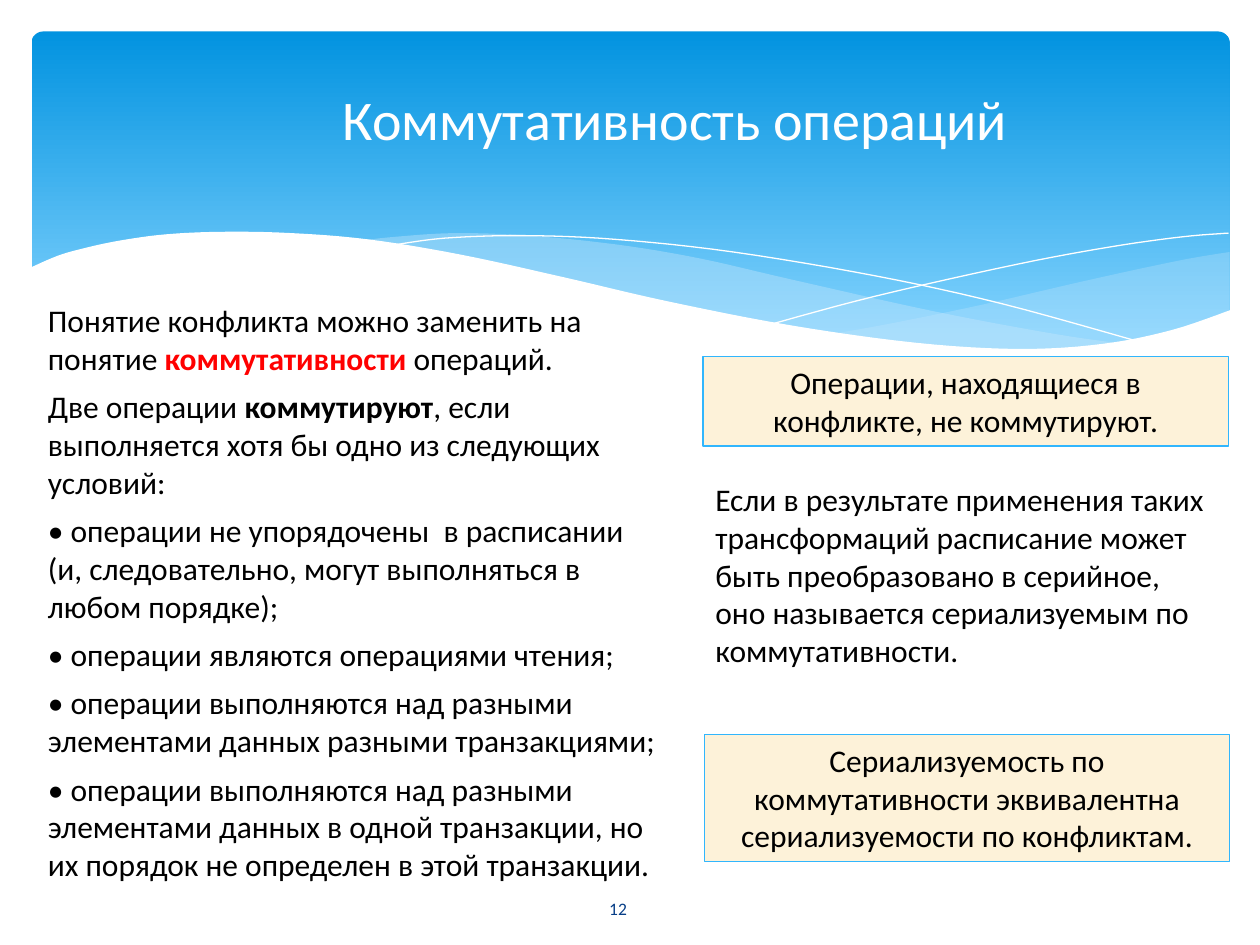
from pptx import Presentation
from pptx.dml.color import RGBColor
from pptx.enum.shapes import MSO_SHAPE
from pptx.enum.text import MSO_ANCHOR, MSO_AUTO_SIZE, PP_ALIGN
from pptx.oxml.ns import qn
from pptx.util import Pt
from lxml import etree

LEFT, CENTER, RIGHT = PP_ALIGN.LEFT, PP_ALIGN.CENTER, PP_ALIGN.RIGHT
TOP, MIDDLE = MSO_ANCHOR.TOP, MSO_ANCHOR.MIDDLE
RECTANGLE, ROUNDED = MSO_SHAPE.RECTANGLE, MSO_SHAPE.ROUNDED_RECTANGLE

PX = 9144
CURVE_STEPS = 6

THEME = {
    "font": "Calibri",
    "title_size": 32, "body_size": 18, "number_size": 10,
    "ink": "000000", "accent": "FF0000", "paper": "FFFFFF", "number": "073E87",
    "sky_top": "0293E0", "sky_bottom": "83D3FE", "wave": "C6E7FC",
    "card": "FDF2D9", "card_line": "31B6FD",
}

TITLE = "Коммутативность операций"
PAGE = "12"
DEFINITION = [
    [("Понятие конфликта можно заменить на понятие ", None),
     ("коммутативности ", "accent"), ("операций.", None)],
    [("Две операции ", None), ("коммутируют", "ink"),
     (", если выполняется хотя бы одно из следующих условий:", None)],
    [("• операции не упорядочены  в расписании (и, следовательно, "
      "могут выполняться в любом порядке);", None)],
    [("• операции являются операциями чтения;", None)],
    [("• операции выполняются над разными элементами данных "
      "разными транзакциями;", None)],
    [("• операции выполняются над разными элементами данных в одной транзакции, "
      "но их порядок не определен в этой транзакции.", None)],
]
CONFLICT = "Операции, находящиеся в конфликте, не коммутируют."
RESULT = ("Если в результате применения таких трансформаций расписание может быть "
          "преобразовано в серийное, оно называется сериализуемым по коммутативности.")
EQUIVALENCE = ("Сериализуемость по коммутативности эквивалентна "
               "сериализуемости по конфликтам.")

SKY = (25, 25, 951, 270)
TITLE_BOX = (233, 66, 567, 55)
DEFINITION_BOX = (28, 234, 508, 507)
PAGE_BOX = (427, 701, 127, 40)
CARDS = [(CONFLICT, (558, 283, 417, 71)), (EQUIVALENCE, (559, 583, 417, 101))]
RESULT_BOX = (558, 376, 417, 192)

WAVES = [
    ([[(976, 200), (935, 207), (861, 223), (779, 242), (706, 257), (661, 265)],
      [(661, 265), (705, 271), (757, 276), (814, 278), (872, 274), (928, 263), (976, 247)]],
     "wave", 29),
    ([[(893, 273), (837, 265), (741, 247), (629, 222), (555, 205), (489, 194),
       (420, 187), (361, 185), (313, 188), (286, 191)],
      [(286, 191), (342, 199), (404, 211), (491, 232), (566, 248), (650, 264),
       (722, 274), (796, 278), (848, 277), (893, 273)]],
     "wave", 40),
]
STRANDS = [
    [(309, 195), (353, 189), (416, 187), (489, 190), (582, 200), (695, 219),
     (795, 241), (907, 272)],
    [(613, 257), (695, 235), (806, 210), (881, 196), (938, 188), (975, 185)],
]
FOREGROUND = [
    [(977, 246), (930, 262), (875, 273), (809, 277), (726, 272), (626, 258),
     (529, 239), (447, 220), (365, 202), (292, 190), (230, 185), (177, 184),
     (132, 186), (95, 191), (67, 197), (46, 203), (23, 213)],
    [(23, 329), (977, 329)],
]


def rgb(key):
    return RGBColor.from_string(THEME[key])


def emu(box):
    return [v * PX for v in box]


def smooth(knots):
    padded = [knots[0], *knots, knots[-1]]
    curve = [knots[0]]
    for a, b, c, d in zip(padded, padded[1:], padded[2:], padded[3:]):
        for step in range(1, CURVE_STEPS + 1):
            t = step / CURVE_STEPS
            curve.append(tuple(
                (2 * q + (r - p) * t + (2 * p - 5 * q + 4 * r - s) * t ** 2
                 + (3 * q - p - 3 * r + s) * t ** 3) / 2
                for p, q, r, s in zip(a, b, c, d)))
    return curve


def draw_outline(shapes, edges, closed=True):
    points = [emu(point) for edge in edges for point in smooth(edge)]
    builder = shapes.build_freeform(*points[0], scale=1.0)
    builder.add_line_segments(points[1:], close=closed)
    outline = builder.convert_to_shape()
    outline.shadow.inherit = False
    return outline


def fill_outline(outline, color, opacity=100):
    outline.fill.solid()
    outline.fill.fore_color.rgb = rgb(color)
    outline.line.fill.background()
    if opacity < 100:
        tint = outline.fill._xPr.find(qn("a:solidFill"))[0]
        etree.SubElement(tint, qn("a:alpha"), val=str(opacity * 1000))


def place(shape, box):
    shape.left, shape.top, shape.width, shape.height = emu(box)


def write(shape, paragraphs, size="body_size", color="ink", align=LEFT, anchor=TOP,
          gap=0, margin=None):
    frame = shape.text_frame
    frame.word_wrap = True
    frame.auto_size = MSO_AUTO_SIZE.NONE
    frame.vertical_anchor = anchor
    if margin is not None:
        frame.margin_left = frame.margin_right = margin
        frame.margin_top = frame.margin_bottom = margin
    frame.text = "\n".join("".join(text for text, _ in runs) for runs in paragraphs)
    for index, (paragraph, runs) in enumerate(zip(frame.paragraphs, paragraphs)):
        properties = paragraph._p.get_or_add_pPr()
        properties.set("marL", "0")
        properties.set("indent", "0")
        etree.SubElement(properties, qn("a:buNone"))
        paragraph.alignment = align
        paragraph.space_before = Pt(gap if index else 0)
        paragraph.text = ""
        for text, emphasis in runs:
            run = paragraph.add_run()
            run.text = text
            run.font.name = THEME["font"]
            run.font.size = Pt(THEME[size])
            run.font.bold = emphasis is not None
            run.font.color.rgb = rgb(emphasis or color)


def draw_backdrop(shapes):
    sky = shapes.add_shape(ROUNDED, *emu(SKY))
    sky.adjustments[0] = 0.034
    sky.shadow.inherit = False
    sky.line.fill.background()
    sky.fill.gradient()
    sky.fill.gradient_angle = 270
    stops = zip(sky.fill.gradient_stops, ("sky_top", "sky_bottom"), (0, 0.9))
    for stop, color, position in stops:
        stop.color.rgb = rgb(color)
        stop.position = position
    for edges, color, opacity in WAVES:
        fill_outline(draw_outline(shapes, edges), color, opacity)
    for strand in STRANDS:
        thread = draw_outline(shapes, [strand], closed=False)
        thread.fill.background()
        thread.line.color.rgb = rgb("paper")
        thread.line.width = Pt(0)
    fill_outline(draw_outline(shapes, FOREGROUND), "paper")


def main():
    deck = Presentation()
    deck.slide_width, deck.slide_height = emu((1000, 750))
    slide = deck.slides.add_slide(deck.slide_layouts[1])
    shapes = slide.shapes
    title, definition = slide.placeholders
    draw_backdrop(shapes)

    for placeholder, box in ((title, TITLE_BOX), (definition, DEFINITION_BOX)):
        place(placeholder, box)
        shapes._spTree.append(placeholder._element)
    write(title, [[(TITLE, None)]], "title_size", "paper", RIGHT, MIDDLE, margin=0)
    write(definition, DEFINITION, gap=6)

    page = shapes.add_textbox(*emu(PAGE_BOX))
    write(page, [[(PAGE, None)]], "number_size", "number", CENTER, MIDDLE, margin=0)
    result = shapes.add_textbox(*emu(RESULT_BOX))
    write(result, [[(RESULT, None)]])
    for statement, box in CARDS:
        card = shapes.add_shape(RECTANGLE, *emu(box))
        card.shadow.inherit = False
        card.fill.solid()
        card.fill.fore_color.rgb = rgb("card")
        card.line.color.rgb = rgb("card_line")
        card.line.width = Pt(0.75)
        write(card, [[(statement, None)]], align=CENTER)

    deck.save("out.pptx")


if __name__ == "__main__":
    main()
